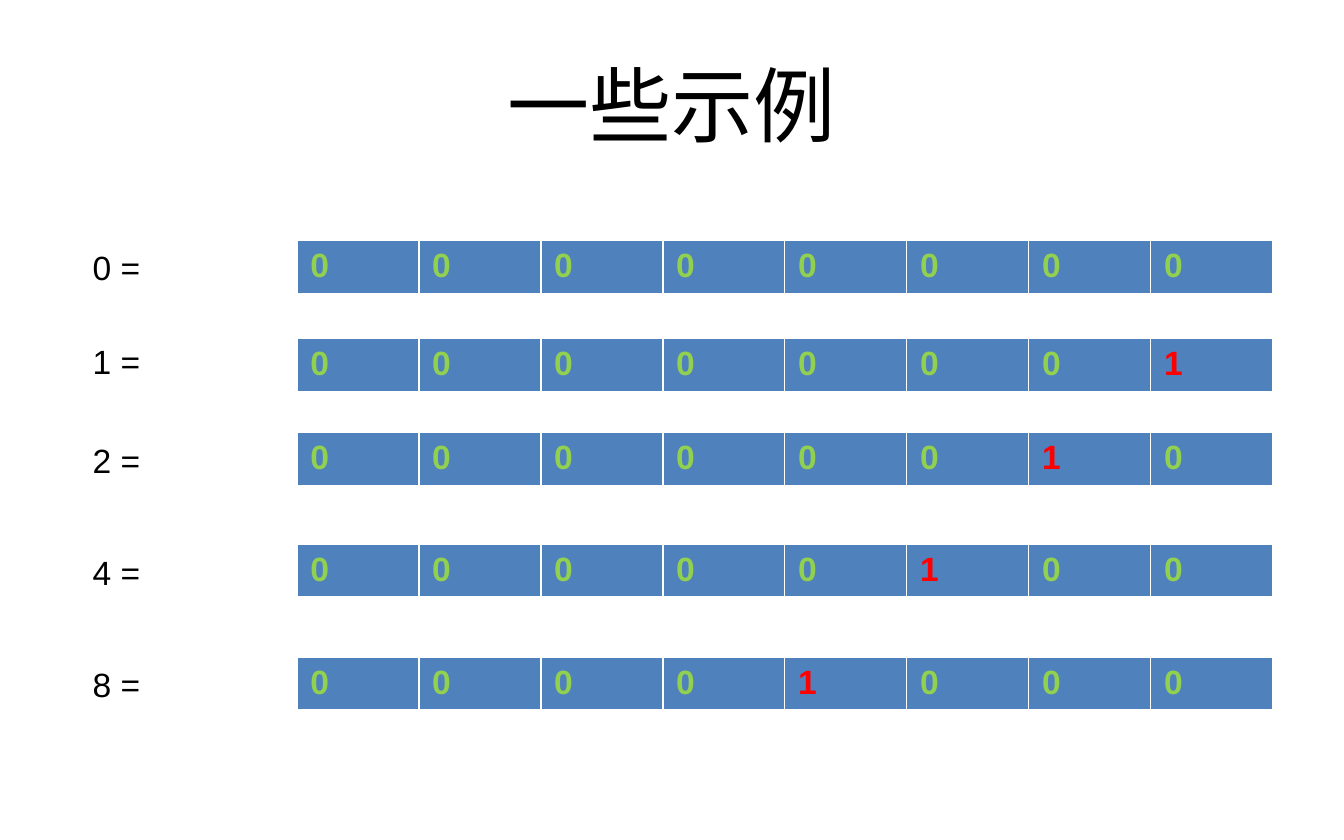
from pptx import Presentation
from pptx.dml.color import RGBColor
from pptx.enum.text import MSO_ANCHOR, MSO_AUTO_SIZE, PP_ALIGN
from pptx.oxml import parse_xml
from pptx.oxml.ns import nsdecls
from pptx.util import Cm, Pt


def paint(color):
    return RGBColor.from_string(color)


def write(frame, text, size=18, font="Arial", color="000000", bold=False,
          align=PP_ALIGN.LEFT):
    para = frame.paragraphs[0]
    para.alignment = align
    run = para.add_run()
    run.text = text
    run.font.size = Pt(size)
    run.font.name = font
    run.font.bold = bold
    run.font.color.rgb = paint(color)


class Deck:
    BLUE, GREEN, RED, WHITE = "4F81BD", "92D050", "FF0000", "FFFFFF"
    EDGES = {"lnL": 1, "lnR": 1, "lnT": 1, "lnB": 3}

    def __init__(self, width, height):
        self.file = Presentation()
        self.file.slide_width = Cm(width)
        self.file.slide_height = Cm(height)
        self.slide = self.file.slides.add_slide(self.file.slide_layouts[5])

    def title(self, text, left, top, width, height):
        shape = self.slide.shapes.title
        shape.left, shape.top = Cm(left), Cm(top)
        shape.width, shape.height = Cm(width), Cm(height)
        shape.text_frame.vertical_anchor = MSO_ANCHOR.MIDDLE
        write(shape.text_frame, text, size=44, font="Calibri",
              align=PP_ALIGN.CENTER)

    def label(self, text, left, top, width, height):
        box = self.slide.shapes.add_textbox(Cm(left), Cm(top), Cm(width),
                                            Cm(height))
        box.text_frame.word_wrap = True
        box.text_frame.auto_size = MSO_AUTO_SIZE.SHAPE_TO_FIT_TEXT
        write(box.text_frame, text)

    def edge(self, cell):
        props = cell._tc.get_or_add_tcPr()
        for side, width in self.EDGES.items():
            props.append(parse_xml(
                f'<a:{side} {nsdecls("a")} w="{Pt(width)}"><a:solidFill>'
                f'<a:srgbClr val="{self.WHITE}"/></a:solidFill></a:{side}>'))

    def bits(self, digits, left, top, width, height):
        table = self.slide.shapes.add_table(
            1, len(digits), Cm(left), Cm(top), Cm(width), Cm(height)).table
        for cell, digit in zip(table.iter_cells(), digits):
            self.edge(cell)
            cell.fill.solid()
            cell.fill.fore_color.rgb = paint(self.BLUE)
            color = self.RED if digit == "1" else self.GREEN
            write(cell.text_frame, digit, color=color, bold=True)

    def save(self):
        self.file.save("out.pptx")


deck = Deck(25.4, 15.88)
deck.title("一些示例", 1.27, 0.64, 22.86, 2.64)

# Each number with the top of its label and of its row of bits
rows = [(0, 4.55, 4.55), (1, 6.32, 6.4), (2, 8.2, 8.18),
        (4, 10.31, 10.29), (8, 12.42, 12.42)]
for value, text_top, bit_top in rows:
    deck.label(f"{value} = ", 1.5, text_top, 2, 1.03)
    deck.bits(f"{value:08b}", 5.61, bit_top, 18.44, 1.03)

deck.save()
